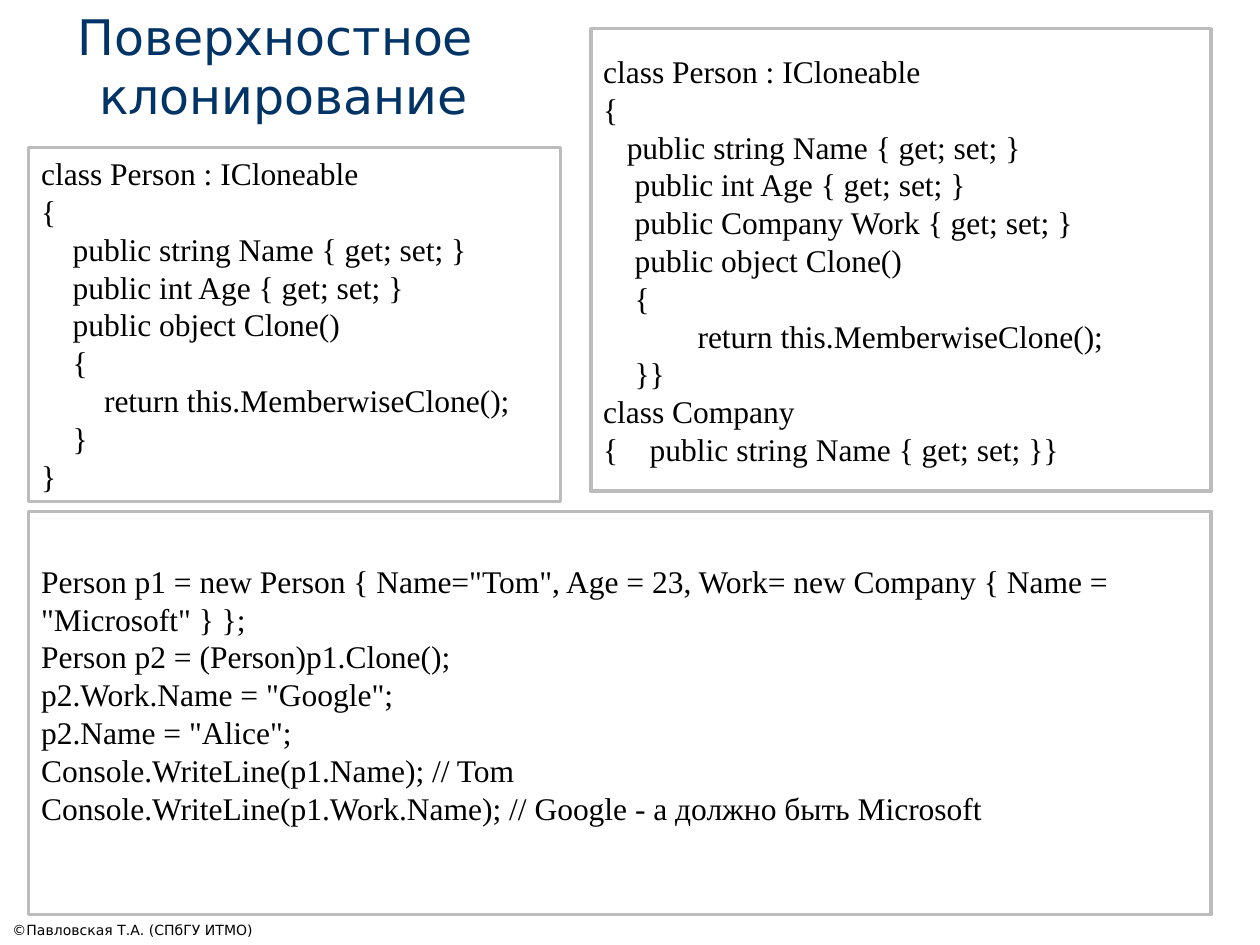
from dataclasses import dataclass

from pptx import Presentation
from pptx.dml.color import RGBColor
from pptx.enum.shapes import MSO_SHAPE
from pptx.enum.text import MSO_ANCHOR, PP_ALIGN
from pptx.util import Cm, Pt

RECTANGLE = MSO_SHAPE.RECTANGLE
MIDDLE, BOTTOM = MSO_ANCHOR.MIDDLE, MSO_ANCHOR.BOTTOM
LEFT, CENTER = PP_ALIGN.LEFT, PP_ALIGN.CENTER

NAVY = RGBColor(0x00, 0x33, 0x66)
BLACK = RGBColor(0x00, 0x00, 0x00)
WHITE = RGBColor(0xFF, 0xFF, 0xFF)
GRAY = RGBColor(0xBC, 0xBC, 0xBC)

HEADING_FONT = "DejaVu Sans"
CODE_FONT = "Times New Roman"
INSET = 0.13


@dataclass(frozen=True)
class Area:
    """Position and size in centimetres."""
    left: float
    top: float
    width: float
    height: float

    def lengths(self) -> tuple:
        return Cm(self.left), Cm(self.top), Cm(self.width), Cm(self.height)


@dataclass(frozen=True)
class TextStyle:
    font: str
    size: float
    color: RGBColor
    anchor: MSO_ANCHOR
    align: PP_ALIGN = LEFT


@dataclass(frozen=True)
class CodePanel:
    area: Area
    code: str
    bottom_inset: float = INSET


TITLE_STYLE = TextStyle(HEADING_FONT, 28, NAVY, BOTTOM, CENTER)
FOOTER_STYLE = TextStyle(HEADING_FONT, 8, BLACK, BOTTOM)
CODE_STYLE = TextStyle(CODE_FONT, 18, BLACK, MIDDLE)

SIMPLE_CLASS = """class Person : ICloneable
{
    public string Name { get; set; }
    public int Age { get; set; }
    public object Clone()
    {
        return this.MemberwiseClone();
    }
}"""

NESTED_CLASS = """class Person : ICloneable
{
   public string Name { get; set; }
    public int Age { get; set; }
    public Company Work { get; set; }
    public object Clone()
    {
            return this.MemberwiseClone();
    }}
class Company
{    public string Name { get; set; }}"""

USAGE = """Person p1 = new Person { Name="Tom", Age = 23, Work= new Company { Name = "Microsoft" } };
Person p2 = (Person)p1.Clone();
p2.Work.Name = "Google";
p2.Name = "Alice";
Console.WriteLine(p1.Name); // Tom
Console.WriteLine(p1.Work.Name); // Google - а должно быть Microsoft"""

PANELS = (
    CodePanel(Area(0.58, 2.97, 10.72, 7.14), SIMPLE_CLASS),
    CodePanel(Area(11.91, 0.58, 12.5, 9.32), NESTED_CLASS),
    CodePanel(Area(0.58, 10.31, 23.83, 8.13), USAGE, bottom_inset=0.89),
)


def write_text(shape, paragraphs: list[list[str]], style: TextStyle,
               bottom_inset: float = INSET) -> None:
    """Write paragraphs, each given as lines parted by line breaks."""
    frame = shape.text_frame
    frame.word_wrap = True
    frame.vertical_anchor = style.anchor
    frame.margin_left = frame.margin_right = Cm(0.25)
    frame.margin_top, frame.margin_bottom = Cm(INSET), Cm(bottom_inset)
    for index, lines in enumerate(paragraphs):
        paragraph = frame.add_paragraph() if index else frame.paragraphs[0]
        paragraph.alignment = style.align
        for line_index, line in enumerate(lines):
            if line_index:
                paragraph.add_line_break()
            run = paragraph.add_run()
            run.text = line
            run.font.name = style.font
            run.font.size = Pt(style.size)
            run.font.color.rgb = style.color


def add_label(slide, area: Area, lines: list[str], style: TextStyle) -> None:
    write_text(slide.shapes.add_textbox(*area.lengths()), [lines], style)


def add_code_panel(slide, panel: CodePanel) -> None:
    shape = slide.shapes.add_shape(RECTANGLE, *panel.area.lengths())
    shape.shadow.inherit = False
    shape.fill.solid()
    shape.fill.fore_color.rgb = WHITE
    shape.line.color.rgb = GRAY
    shape.line.width = Pt(2)
    paragraphs = [[line] for line in panel.code.splitlines()]
    write_text(shape, paragraphs, CODE_STYLE, panel.bottom_inset)


def main() -> None:
    presentation = Presentation()
    presentation.slide_width, presentation.slide_height = Cm(25.4), Cm(19.05)
    slide = presentation.slides.add_slide(presentation.slide_layouts[6])

    # Title and copyright line
    add_label(slide, Area(-0.2, 0, 11.51, 2.64),
              ["Поверхностное", " клонирование"], TITLE_STYLE)
    add_label(slide, Area(0, 18.34, 7.9, 0.71),
              ["©Павловская Т.А. (СПбГУ ИТМО)"], FOOTER_STYLE)

    # Code listings
    for panel in PANELS:
        add_code_panel(slide, panel)

    presentation.save("out.pptx")


if __name__ == "__main__":
    main()
